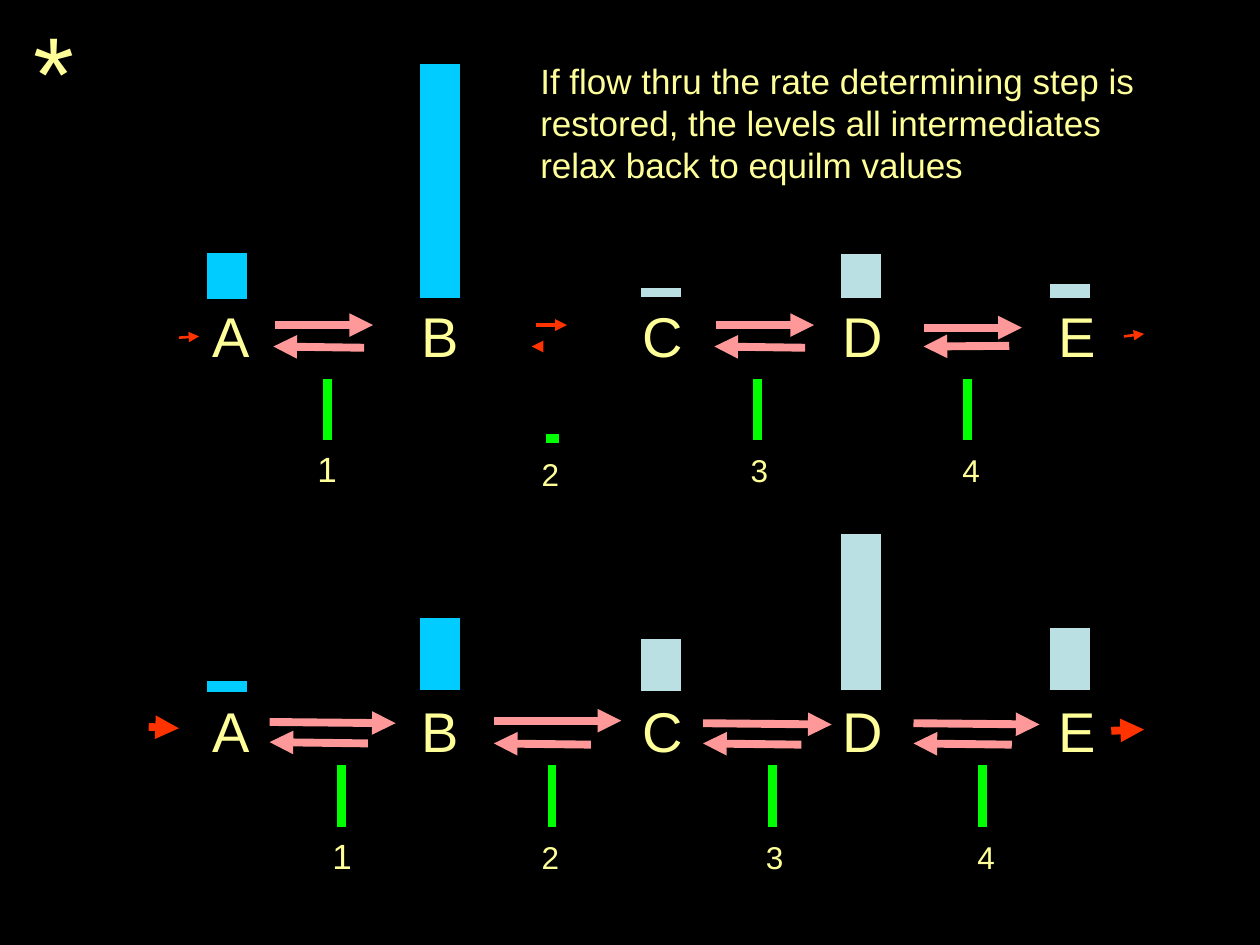
from lxml import etree
from pptx import Presentation
from pptx.dml.color import RGBColor
from pptx.enum.shapes import MSO_CONNECTOR, MSO_SHAPE
from pptx.enum.text import MSO_AUTO_SIZE
from pptx.oxml.ns import qn
from pptx.util import Inches, Pt

STRAIGHT = MSO_CONNECTOR.STRAIGHT
RECTANGLE = MSO_SHAPE.RECTANGLE
FIT_SHAPE = MSO_AUTO_SIZE.SHAPE_TO_FIT_TEXT
BLACK = RGBColor(0x00, 0x00, 0x00)
YELLOW = RGBColor(0xFF, 0xFF, 0x99)
BLUE = RGBColor(0x00, 0xCC, 0xFF)
PALE = RGBColor(0xBB, 0xE0, 0xE3)
GREEN = RGBColor(0x00, 0xFF, 0x00)
PINK = RGBColor(0xFF, 0x99, 0x99)
RED = RGBColor(0xFF, 0x33, 0x00)
FONT = "Arial"

# Content: lengths in inches
MESSAGE = [
    "If flow thru the rate determining step is restored, the levels all intermediates",
    "relax back to equilm values",
]
# Intermediate: letter, letter left, letter width, bar left, bar colour
INTERMEDIATES = [
    ("A", 1.59, 0.49, 1.64, BLUE),
    ("B", 3.25, 0.49, 3.33, BLUE),
    ("C", 5.00, 0.52, 5.08, PALE),
    ("D", 6.59, 0.52, 6.67, PALE),
    ("E", 8.30, 0.49, 8.33, PALE),
]
BAR_WIDTH = 0.33
# bars: top, height; gates: left, top, width, height; labels: left, top
# arrows: from x, from y, to x, to y; flows: the same, with line width in points
PATHWAYS = [
    {   # Step 2 blocked
        "letter_top": 2.34,
        "bars": [(2, 0.38), (0.5, 1.87), (2.28, 0.08), (2.01, 0.36), (2.25, 0.12)],
        "gates": [(2.56, 3, 0.08, 0.5), (4.33, 3.44, 0.11, 0.08),
                  (5.97, 3, 0.08, 0.5), (7.64, 3, 0.08, 0.5)],
        "labels": [(2.42, 3.5), (4.2, 3.56), (5.86, 3.53), (7.54, 3.53)],
        "arrows": [(2.18, 2.58, 2.96, 2.58), (2.89, 2.76, 2.17, 2.75),
                   (5.68, 2.58, 6.46, 2.58), (6.39, 2.76, 5.67, 2.75),
                   (7.33, 2.6, 8.11, 2.6), (8.01, 2.745, 7.33, 2.75)],
        "flows": [(1.42, 2.68, 1.58, 2.67, 1.5), (4.25, 2.58, 4.5, 2.58, 2.25),
                  (4.28, 2.75, 4.22, 2.75, 2.25), (8.92, 2.67, 9.08, 2.65, 1.5)],
    },
    {   # Flow restored
        "letter_top": 5.48,
        "bars": [(5.4, 0.1), (4.9, 0.58), (5.07, 0.42), (4.23, 1.25), (4.98, 0.5)],
        "gates": [(left, 6.07, 0.08, 0.5) for left in (2.67, 4.34, 6.09, 7.76)],
        "labels": [(2.54, 6.57), (4.2, 6.6), (5.98, 6.6), (7.66, 6.6)],
        "arrows": [(2.14, 5.73, 3.14, 5.74), (2.92, 5.9, 2.14, 5.89),
                   (3.92, 5.72, 4.93, 5.72), (4.69, 5.91, 3.92, 5.9),
                   (5.58, 5.74, 6.6, 5.75), (6.36, 5.91, 5.58, 5.9),
                   (7.25, 5.74, 8.25, 5.75), (8.03, 5.91, 7.25, 5.9)],
        "flows": [(1.18, 5.77, 1.42, 5.78, 4.5), (8.82, 5.8, 9.08, 5.79, 4.5)],
    },
]


def add_block(slide, left, top, width, height, color):
    shape = slide.shapes.add_shape(
        RECTANGLE, Inches(left), Inches(top), Inches(width), Inches(height))
    shape.shadow.inherit = False
    shape.fill.solid()
    shape.fill.fore_color.rgb = color
    shape.line.color.rgb = BLACK
    shape.line.width = Pt(0.75)


def add_text(slide, left, top, width, height, lines, size, wrap=False):
    box = slide.shapes.add_textbox(
        Inches(left), Inches(top), Inches(width), Inches(height))
    frame = box.text_frame
    frame.word_wrap = wrap
    frame.auto_size = FIT_SHAPE
    for index, line in enumerate(lines):
        paragraph = frame.add_paragraph() if index else frame.paragraphs[0]
        run = paragraph.add_run()
        run.text = line
        run.font.name = FONT
        run.font.size = Pt(size)
        run.font.color.rgb = YELLOW


def add_arrow(slide, start_x, start_y, end_x, end_y, color, width):
    arrow = slide.shapes.add_connector(
        STRAIGHT, Inches(start_x), Inches(start_y), Inches(end_x), Inches(end_y))
    arrow.line.color.rgb = color
    arrow.line.width = Pt(width)
    etree.SubElement(arrow.line._get_or_add_ln(), qn("a:tailEnd"), type="triangle")
    etree.SubElement(arrow._element.spPr, qn("a:effectLst"))


def add_pathway(slide, pathway):
    # Levels and letters of the intermediates
    for item, (bar_top, bar_height) in zip(INTERMEDIATES, pathway["bars"]):
        letter, left, width, bar_left, color = item
        add_block(slide, bar_left, bar_top, BAR_WIDTH, bar_height, color)
        add_text(slide, left, pathway["letter_top"], width, 0.64, [letter], 32)
    # Numbered step gates
    steps = zip(pathway["gates"], pathway["labels"])
    for number, (gate, (left, top)) in enumerate(steps, start=1):
        width, height, size = (0.35, 0.44, 20) if number == 1 else (0.34, 0.4, 18)
        add_block(slide, *gate, GREEN)
        add_text(slide, left, top, width, height, [str(number)], size)
    # Reversible reactions, then flow in and out
    for ends in pathway["arrows"]:
        add_arrow(slide, *ends, PINK, 4.5)
    for *ends, width in pathway["flows"]:
        add_arrow(slide, *ends, RED, width)


def main():
    presentation = Presentation()
    presentation.slide_width = Inches(10)
    presentation.slide_height = Inches(7.5)
    slide = presentation.slides.add_slide(presentation.slide_layouts[6])
    slide.background.fill.solid()
    slide.background.fill.fore_color.rgb = BLACK
    for pathway in PATHWAYS:
        add_pathway(slide, pathway)
    # Marker and message
    add_text(slide, 0.17, 0, 0.52, 1.1, ["*"], 60)
    add_text(slide, 4.19, 0.42, 5.47, 1.44, MESSAGE, 20, wrap=True)
    presentation.save("out.pptx")


if __name__ == "__main__":
    main()
